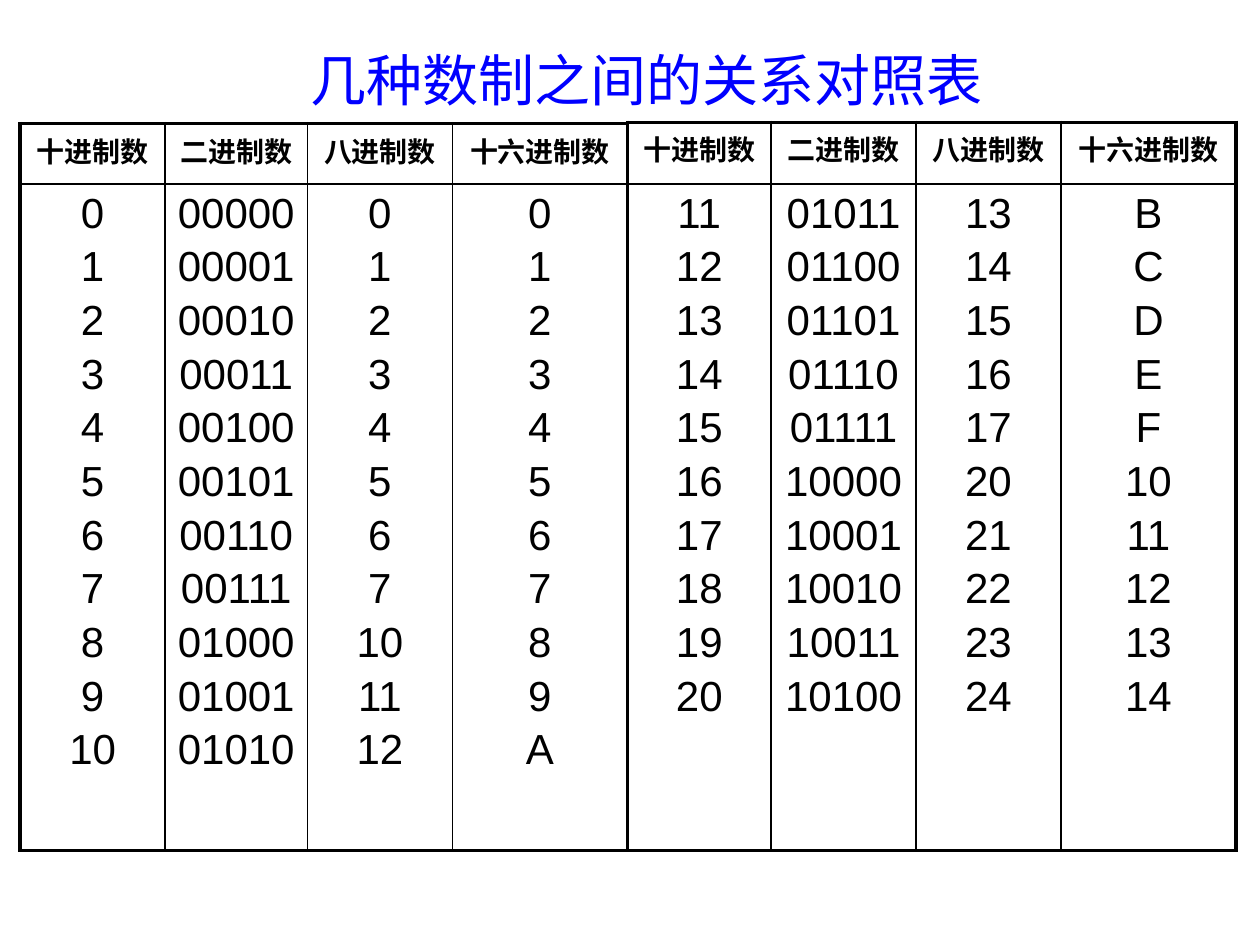
import pptx
import pptx.dml.color
import pptx.enum.text
import pptx.oxml
import pptx.oxml.ns
import pptx.util
from lxml import etree

TITLE = "几种数制之间的关系对照表"
BASES = [("十进制数", "d"), ("二进制数", "05b"), ("八进制数", "o"), ("十六进制数", "X")]
TABLES = [
    {"numbers": range(0, 11), "left": 0.16, "top": 0.98,
     "cols": [1.15, 1.13, 1.15, 1.39], "rows": [0.48, 5.29]},
    {"numbers": range(11, 21), "left": 4.98, "top": 0.97,
     "cols": [1.14, 1.15, 1.15, 1.39], "rows": [0.49, 5.29]},
]
THEME = {
    "latin": "Arial", "cjk": "Noto Sans CJK SC",
    "title": "0000FF", "ink": "000000", "paper": "FFFFFF",
    "title_size": 32, "head_size": 16, "body_size": 24, "gap": 3.9,
    "outer": 2.25, "inner": 1,
}
inch, pt = pptx.util.Inches, pptx.util.Pt
rgb = pptx.dml.color.RGBColor.from_string
qn = pptx.oxml.ns.qn


def write(tf, *lines, size, color=THEME["ink"], font=THEME["latin"], bold=False):
    tf.word_wrap = True
    for i, text in enumerate(lines):
        p = tf.add_paragraph() if i else tf.paragraphs[0]
        p.alignment = pptx.enum.text.PP_ALIGN.CENTER
        p.space_before = pt(THEME["gap"] if i else 0)
        r = p.add_run()
        r.text = text
        r.font.size, r.font.bold, r.font.name = pt(size), bold, font
        r.font.color.rgb = rgb(color)
        etree.SubElement(r.font._element, qn("a:ea"), typeface=THEME["cjk"])


def set_borders(cell, outer_sides):
    tcPr = cell._tc.get_or_add_tcPr()
    for side in "LRTB":
        width = THEME["outer" if side in outer_sides else "inner"]
        ln = etree.SubElement(tcPr, qn("a:ln" + side), w=str(pt(width)))
        fill = etree.SubElement(ln, qn("a:solidFill"))
        etree.SubElement(fill, qn("a:srgbClr"), val=THEME["ink"])


def add_base_table(s, numbers, left, top, cols, rows):
    table = s.shapes.add_table(len(rows), len(cols), inch(left), inch(top),
                               inch(sum(cols)), inch(sum(rows))).table
    for row, height in zip(table.rows, rows):
        row.height = inch(height)
    for c, ((name, code), width) in enumerate(zip(BASES, cols)):
        table.columns[c].width = inch(width)
        sides = "L" if c == 0 else "R" if c == len(cols) - 1 else ""
        head, body = table.cell(0, c), table.cell(1, c)
        for cell, edge in ((head, "T"), (body, "B")):
            set_borders(cell, sides + edge)
            cell.fill.solid()
            cell.fill.fore_color.rgb = rgb(THEME["paper"])
            cell.margin_left = cell.margin_right = inch(0.05)
        write(head.text_frame, name, size=THEME["head_size"], bold=True)
        write(body.text_frame, *[format(n, code) for n in numbers],
              size=THEME["body_size"])


def main():
    prs = pptx.Presentation()
    prs.slide_width, prs.slide_height = inch(10), inch(7.5)
    s = prs.slides.add_slide(prs.slide_layouts[6])
    tf = s.shapes.add_textbox(inch(0.35), inch(0.36), inch(9.37), inch(6.85)).text_frame
    tf.margin_left, tf.margin_top = inch(0.3), 0
    write(tf, TITLE, size=THEME["title_size"], color=THEME["title"], font=THEME["cjk"])
    for spec_table in TABLES:
        add_base_table(s, **spec_table)
    prs.save("out.pptx")


if __name__ == "__main__":
    main()
